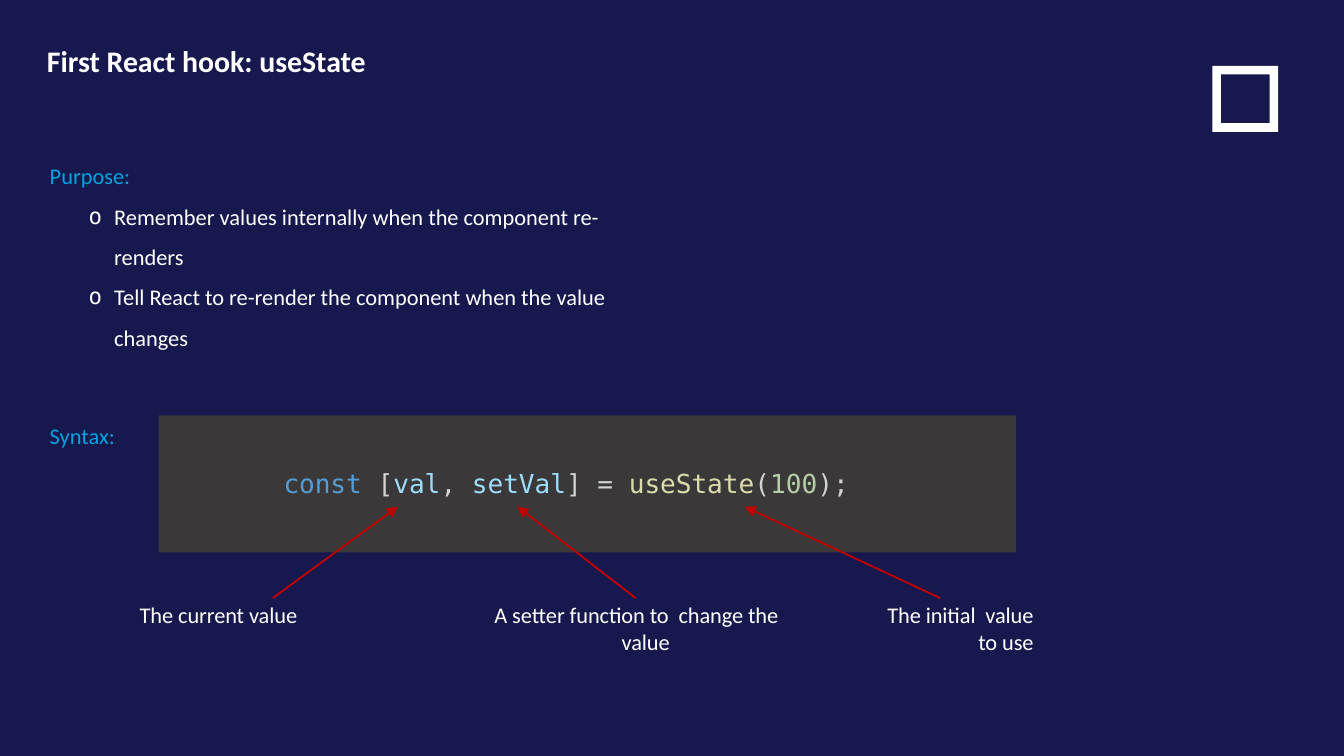
import dataclasses

import pptx
import pptx.dml.color
import pptx.enum.shapes
import pptx.enum.text
import pptx.oxml
import pptx.oxml.ns
import pptx.util

Inches = pptx.util.Inches
Pt = pptx.util.Pt
Align = pptx.enum.text.PP_ALIGN
Shape = pptx.enum.shapes.MSO_SHAPE


@dataclasses.dataclass(frozen=True)
class Theme:
    """Colours, fonts and type sizes of the deck."""
    background: str = "16184E"
    text: str = "FFFFFF"
    heading: str = "00A3E0"
    panel: str = "3A3838"
    arrow: str = "C00000"
    keyword: str = "559CD5"
    punctuation: str = "D3D3D3"
    variable: str = "9CDCFD"
    function: str = "DCDCAA"
    number: str = "B5CEA8"
    font: str = "Calibri"
    code_font: str = "DejaVu Sans Mono"
    title_size: int = 16
    code_size: int = 14
    body_size: int = 12


THEME = Theme()


def rgb(value):
    """Turn a hex string into a colour."""
    return pptx.dml.color.RGBColor.from_string(value)


def add_element(parent, tag, **attributes):
    """Append a DrawingML element to a parent and return it."""
    element = pptx.oxml.parse_xml(f"<a:{tag} {pptx.oxml.ns.nsdecls('a')}/>")
    for name, value in attributes.items():
        element.set(name, value)
    parent.append(element)
    return element


def style(span, color, size=THEME.body_size, font=THEME.font, bold=False, tight=False):
    """Format one run."""
    span.font.name, span.font.size, span.font.bold = font, Pt(size), bold
    span.font.color.rgb = rgb(color)
    if tight:
        span.font._element.set("spc", "-5")


def indent(para, margin, first):
    """Set the left margin and first-line indent of a paragraph in inches."""
    properties = para._p.get_or_add_pPr()
    properties.set("marL", str(Inches(margin)))
    properties.set("indent", str(Inches(first)))


def add_text_box(page, box, insets=(0, 0, 0, 0), grow=False):
    """Add a wrapping text box with the given insets."""
    shape = page.shapes.add_textbox(*map(Inches, box))
    frame = shape.text_frame
    frame.word_wrap = True
    frame.margin_left, frame.margin_top, frame.margin_right, frame.margin_bottom = map(Inches, insets)
    if grow:
        frame.auto_size = pptx.enum.text.MSO_AUTO_SIZE.SHAPE_TO_FIT_TEXT
    return shape


def add_solid(page, kind, box, color):
    """Add a flat filled shape without outline."""
    shape = page.shapes.add_shape(kind, *map(Inches, box))
    shape.shadow.inherit = False
    shape.fill.solid()
    shape.fill.fore_color.rgb = rgb(color)
    shape.line.fill.background()
    return shape


def add_title(page, box, text):
    """Add the slide title."""
    para = add_text_box(page, box).text_frame.paragraphs[0]
    para.text = text
    para.line_spacing = 0.9
    style(para.runs[0], THEME.text, THEME.title_size, bold=True)


def add_emblem(page, box):
    """Add a plain square frame in the corner."""
    frame = add_solid(page, Shape.FRAME, box, THEME.text)
    frame.adjustments[0] = 0.13


def add_body(page, box, purpose, points, syntax):
    """Add the purpose heading, its bullet points and the syntax heading."""
    frame = add_text_box(page, box).text_frame
    frame.text = "\n".join([purpose, *points, syntax])
    *upper, last = frame.paragraphs
    for para in upper:
        para.line_spacing = 1.5
    for para in upper[1:]:
        para.level = 1
        indent(para, 0.48, -0.19)
        properties = para._p.get_or_add_pPr()
        add_element(properties, "buFont", typeface=THEME.code_font)
        add_element(properties, "buChar", char="o")
        style(para.runs[0], THEME.text)
    for para in (upper[0], last):
        style(para.runs[0], THEME.heading)
    last.space_before = Pt(38.5)


def add_code(page, box, tokens):
    """Add the code panel with one line of coloured tokens."""
    left, top, width, height = box
    add_solid(page, Shape.RECTANGLE, box, THEME.panel)
    line_box = (left + 0.82, top + 0.33, width - 1.64, 0.35)
    para = add_text_box(page, line_box, (0.11, 0.06, 0.11, 0.06), True).text_frame.paragraphs[0]
    for text, color in tokens:
        span = para.add_run()
        span.text = text
        style(span, color, THEME.code_size, THEME.code_font, tight=True)


def add_arrow(page, label, tip):
    """Draw an arrow from the top of a label to a point in the code."""
    arrow = page.shapes.add_connector(
        pptx.enum.shapes.MSO_CONNECTOR.STRAIGHT, label.left, label.top, *map(Inches, tip))
    arrow.begin_connect(label, 0)
    arrow.line.color.rgb = rgb(THEME.arrow)
    arrow.line.width = Pt(1)
    add_element(arrow.line._get_or_add_ln(), "tailEnd", type="triangle")
    add_element(arrow._element.spPr, "effectLst")


def add_callout(page, box, text, alignment, indents, tip):
    """Add a label and the arrow that leads from it."""
    label = add_text_box(page, box, (0, 0.02, 0, 0), True)
    para = label.text_frame.paragraphs[0]
    para.text = text
    para.alignment = alignment
    indent(para, *indents)
    style(para.runs[0], THEME.text, tight=True)
    add_arrow(page, label, tip)


def main():
    """Build and save the deck."""
    deck = pptx.Presentation()
    deck.slide_width = Inches(10)
    deck.slide_height = deck.slide_width * 9 // 16
    page = deck.slides.add_slide(deck.slide_layouts[6])
    page.background.fill.solid()
    page.background.fill.fore_color.rgb = rgb(THEME.background)

    add_emblem(page, (9.02, 0.49, 0.49, 0.49))
    add_body(page, (0.37, 1.11, 4.48, 3.96), "Purpose:", [
        "Remember values internally when the component re-renders",
        "Tell React to re-render the component when the value changes",
    ], "Syntax:")
    add_title(page, (0.35, 0.35, 8.54, 0.39), "First React hook: useState")
    add_code(page, (1.18, 3.09, 6.38, 1.02), [
        ("const ", THEME.keyword),
        ("[", THEME.punctuation),
        ("val", THEME.variable),
        (", ", THEME.punctuation),
        ("setVal", THEME.variable),
        ("] = ", THEME.punctuation),
        ("useState", THEME.function),
        ("(", THEME.punctuation),
        ("100", THEME.number),
        (");", THEME.punctuation),
    ])

    label_top, tip_top = 4.45, 3.77
    callouts = [
        (1.03, 2, 0.22, "The current value", Align.LEFT, (0.01, 0), 2.96),
        (3.62, 2.22, 0.42, "A setter function to  change the value", Align.CENTER, (0.15, -0.14), 3.85),
        (6.3, 1.39, 0.42, "The initial  value to use", Align.RIGHT, (0.01, 0.14), 5.54),
    ]
    for left, width, height, text, alignment, indents, tip_left in callouts:
        add_callout(page, (left, label_top, width, height), text, alignment, indents, (tip_left, tip_top))
    deck.save("out.pptx")


if __name__ == "__main__":
    main()
